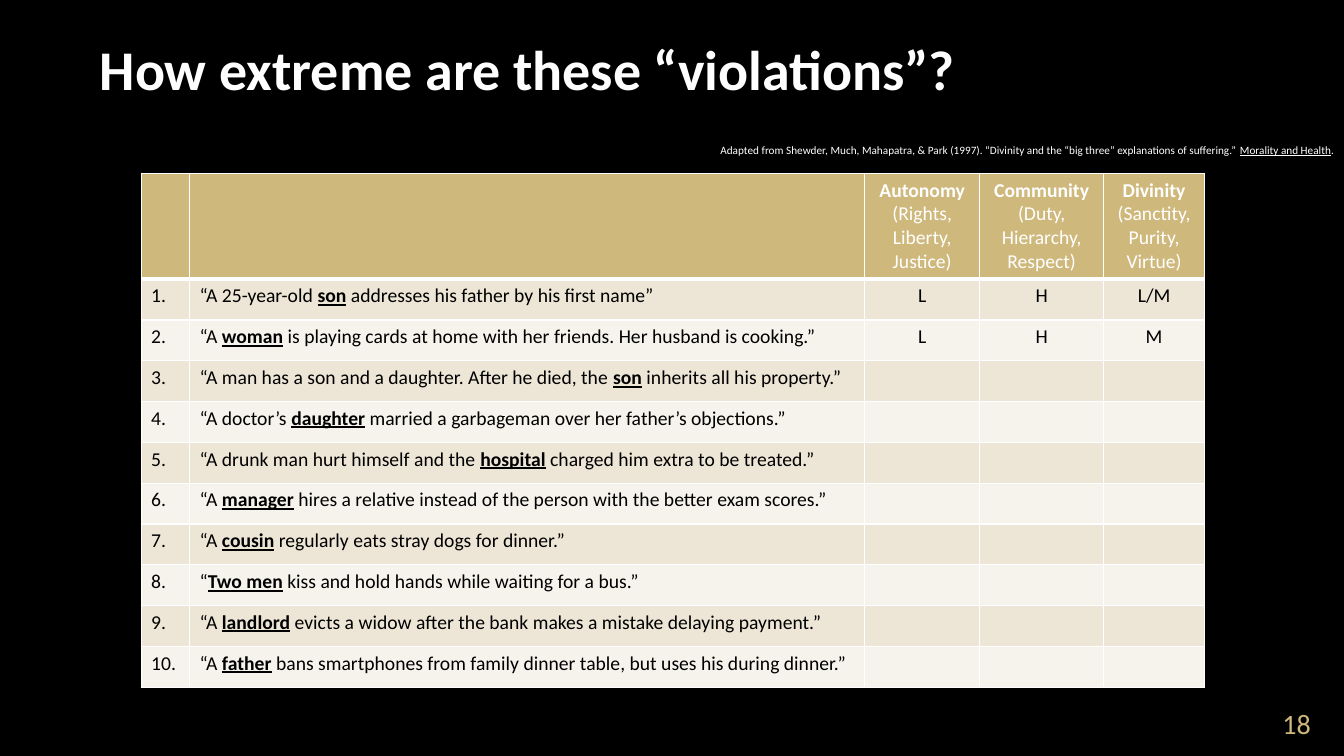
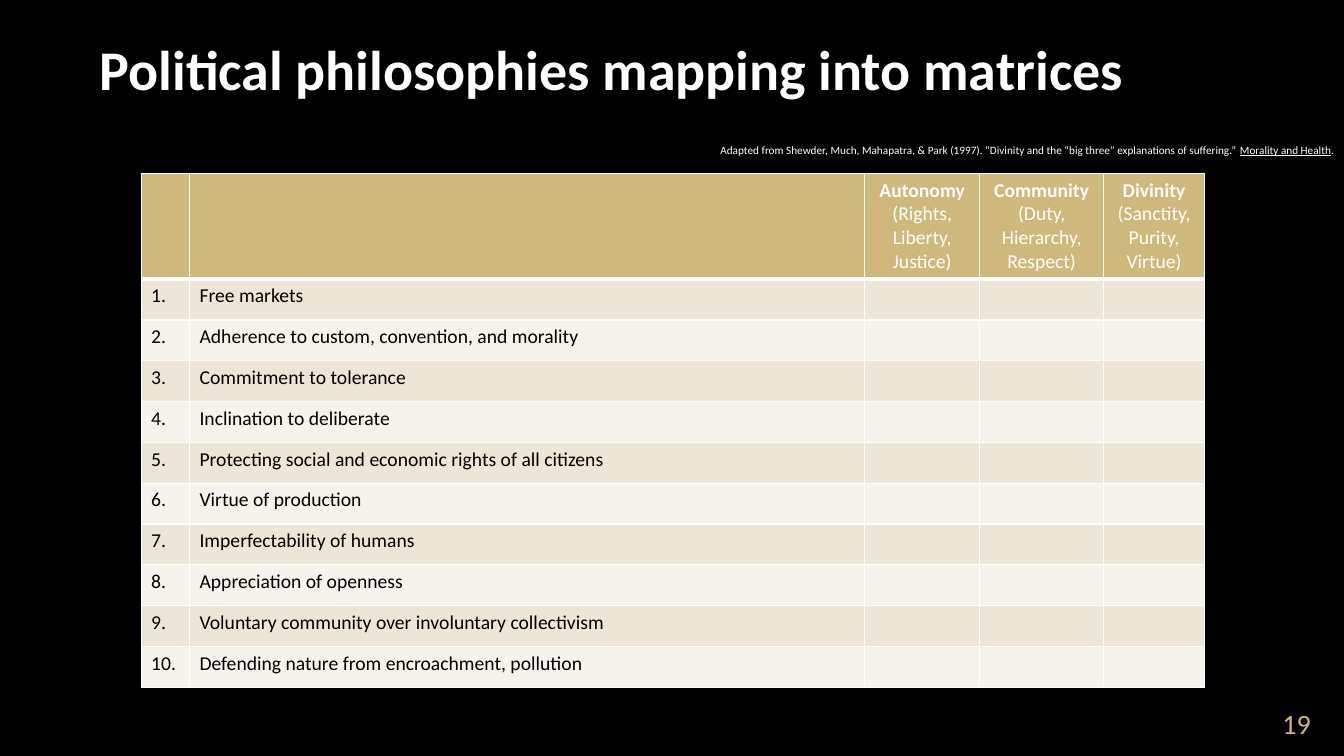
from lxml import etree
from pptx import Presentation
from pptx.dml.color import RGBColor as RGB
from pptx.enum.text import MSO_ANCHOR as ANCHOR, PP_ALIGN as ALIGN
from pptx.oxml.ns import qn
from pptx.util import Inches, Pt

COLORS = {"black": "000000", "title": "FEFEFE", "white": "FFFFFF",
          "gold": "CFB87C", "sand": "EDE6D7", "cream": "F6F3EC"}
FONT = "Calibri"
EMPHASIS = {"bold": True, "underline": True}

prs = Presentation()
prs.slide_width, prs.slide_height = Inches(13.33), Inches(7.5)
COL, ROW = prs.slide_width / 100, prs.slide_height / 100  # a 100 x 100 grid

# Boxes as left, top, width, height in grid columns and rows
TITLE_BOX = (6.68, 0, 86.7, 14.13)
NUMBER_BOX = (89.57, 90.8, 8.7, 7.2)
SOURCE_BOX = (52, 18.27, 48, 3.2)
TABLE_AT = (10.5, 22.93)
COL_WIDTHS = [3.6, 50.25, 8.55, 9.23, 7.5]
HEADER_HEIGHT, BODY_HEIGHT = 14, 5.4

SOURCE = ("Adapted from Shewder, Much, Mahapatra, & Park (1997). “Divinity and "
          "the “big three” explanations of suffering.” _Morality and Health_.")
HEADERS = [[], [],
           ["_Autonomy_", "(Rights,", "Liberty,", "Justice)"],
           ["_Community_", "(Duty,", "Hierarchy,", "Respect)"],
           ["_Divinity_", "(Sanctity,", "Purity,", "Virtue)"]]

# Title, statements (the stressed words between underscores), ratings by row
SLIDES = [
    ("How extreme are these “violations”?", [
        "“A 25-year-old _son_ addresses his father by his first name”",
        "“A _woman_ is playing cards at home with her friends. Her husband is cooking.”",
        "“A man has a son and a daughter. After he died, the _son_ inherits all his property.”",
        "“A doctor’s _daughter_ married a garbageman over her father’s objections.”",
        "“A drunk man hurt himself and the _hospital_ charged him extra to be treated.”",
        "“A _manager_ hires a relative instead of the person with the better exam scores.”",
        "“A _cousin_ regularly eats stray dogs for dinner.”",
        "“_Two men_ kiss and hold hands while waiting for a bus.”",
        "“A _landlord_ evicts a widow after the bank makes a mistake delaying payment.”",
        "“A _father_ bans smartphones from family dinner table, but uses his during dinner.”",
    ], {1: ["L", "H", "L/M"], 2: ["L", "H", "M"]}),
    ("Political philosophies mapping into matrices", [
        "Free markets",
        "Adherence to custom, convention, and morality",
        "Commitment to tolerance",
        "Inclination to deliberate",
        "Protecting social and economic rights of all citizens",
        "Virtue of production",
        "Imperfectability of humans",
        "Appreciation of openness",
        "Voluntary community over involuntary collectivism",
        "Defending nature from encroachment, pollution",
    ], {}),
]


def write(tf, lines, size, color, align=ALIGN.LEFT, marked=EMPHASIS, **base):
    """Fill a text frame; parts between underscores also get the marked format."""
    for i, line in enumerate(lines):
        p = tf.paragraphs[0] if i == 0 else tf.add_paragraph()
        p.alignment = align
        for j, part in enumerate(line.split("_")):
            if not part:
                continue
            r = p.add_run()
            r.text = part
            r.font.color.rgb = RGB.from_string(COLORS[color])
            fmt = {"name": FONT, "size": Pt(size), **base, **(marked if j % 2 else {})}
            for name, value in fmt.items():
                setattr(r.font, name, value)


def style_cell(cell, fill, top, bottom):
    """Give a cell white borders and a fill; top and bottom are line widths."""
    tcPr = cell._tc.get_or_add_tcPr()
    for side, width in {"L": 1, "R": 1, "T": top, "B": bottom}.items():
        ln = etree.SubElement(tcPr, qn(f"a:ln{side}"), w=str(Pt(width)))
        solid = etree.SubElement(ln, qn("a:solidFill"))
        etree.SubElement(solid, qn("a:srgbClr"), val=COLORS["white"])
    cell.fill.solid()
    cell.fill.fore_color.rgb = RGB.from_string(COLORS[fill])


for number, (title, statements, ratings) in enumerate(SLIDES, start=18):
    s = prs.slides.add_slide(prs.slide_layouts[6])
    s.background.fill.solid()
    s.background.fill.fore_color.rgb = RGB.from_string(COLORS["black"])

    # Title, page number and source line
    for (x, y, w, h), text, anchor, fmt in [
        (TITLE_BOX, title, ANCHOR.BOTTOM, {"size": 40, "color": "title", "bold": True}),
        (NUMBER_BOX, str(number), ANCHOR.BOTTOM,
         {"size": 20, "color": "gold", "align": ALIGN.RIGHT}),
        (SOURCE_BOX, SOURCE, ANCHOR.TOP,
         {"size": 8, "color": "white", "align": ALIGN.RIGHT,
          "marked": {"underline": True}}),
    ]:
        tf = s.shapes.add_textbox(int(x * COL), int(y * ROW),
                                  int(w * COL), int(h * ROW)).text_frame
        tf.word_wrap = True
        tf.vertical_anchor = anchor
        if text == str(number):
            tf.margin_bottom = Inches(0.01)
        write(tf, [text], **fmt)

    # Table of statements
    rows = [HEADERS]
    for n, statement in enumerate(statements, start=1):
        marks = ratings.get(n, ["", "", ""])
        rows.append([[f"{n}."], [statement], *([mark] for mark in marks)])
    heights = [HEADER_HEIGHT] + [BODY_HEIGHT] * len(statements)
    table = s.shapes.add_table(
        len(rows), len(COL_WIDTHS), int(TABLE_AT[0] * COL), int(TABLE_AT[1] * ROW),
        int(sum(COL_WIDTHS) * COL), int(sum(heights) * ROW)).table
    table.first_row = table.horz_banding = False
    for column, width in zip(table.columns, COL_WIDTHS):
        column.width = int(width * COL)
    for i, (row, height) in enumerate(zip(rows, heights)):
        table.rows[i].height = int(height * ROW)
        fill = "gold" if i == 0 else "sand" if i % 2 else "cream"
        for j, lines in enumerate(row):
            cell = table.cell(i, j)
            style_cell(cell, fill, top=3 if i == 1 else 1, bottom=3 if i == 0 else 1)
            write(cell.text_frame, lines, 14, "black" if i else "white",
                  ALIGN.CENTER if j > 1 else ALIGN.LEFT,
                  EMPHASIS if i else {"bold": True})

prs.save("out.pptx")
